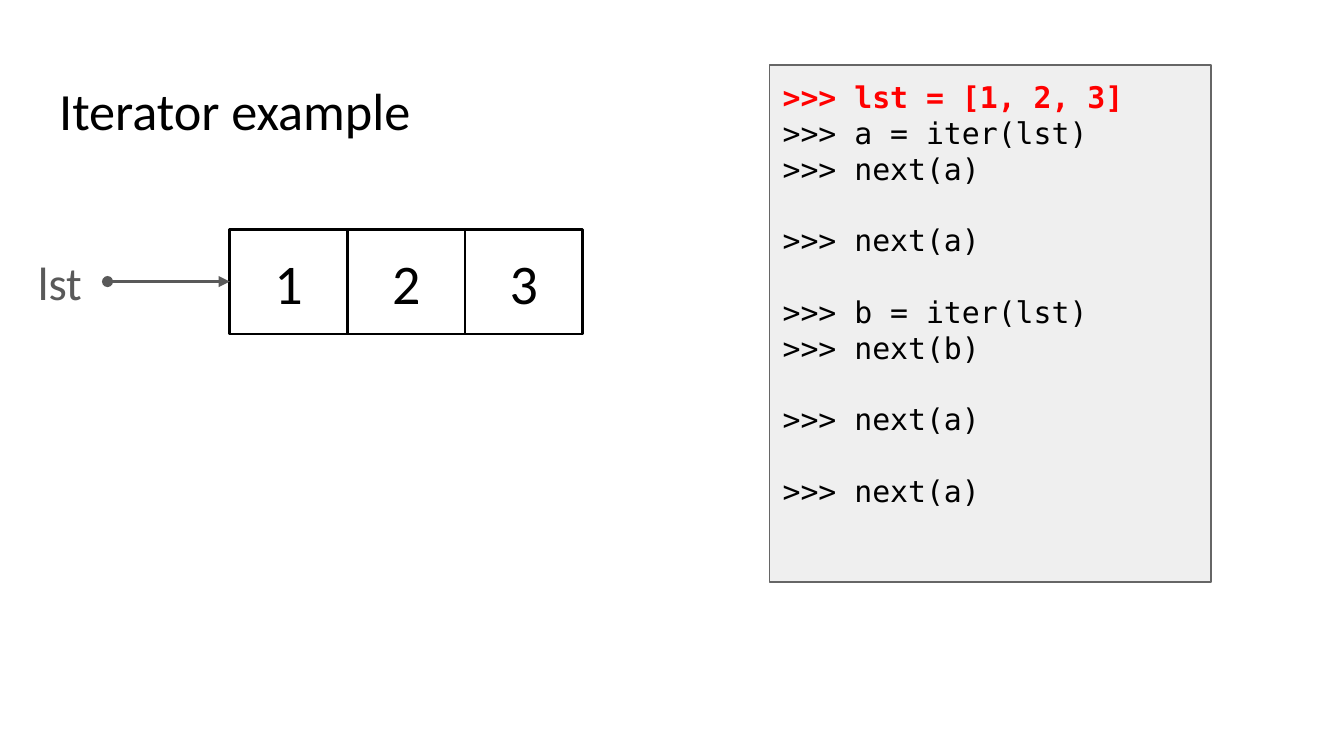
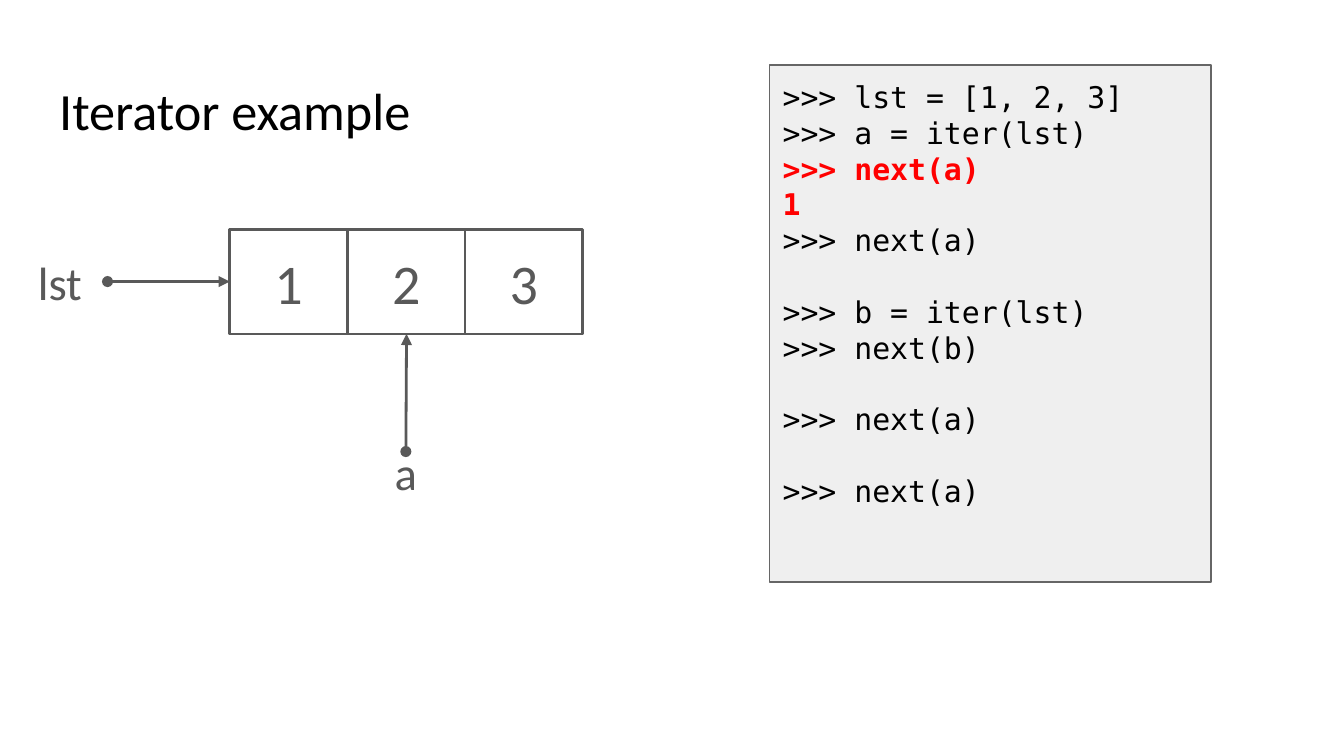
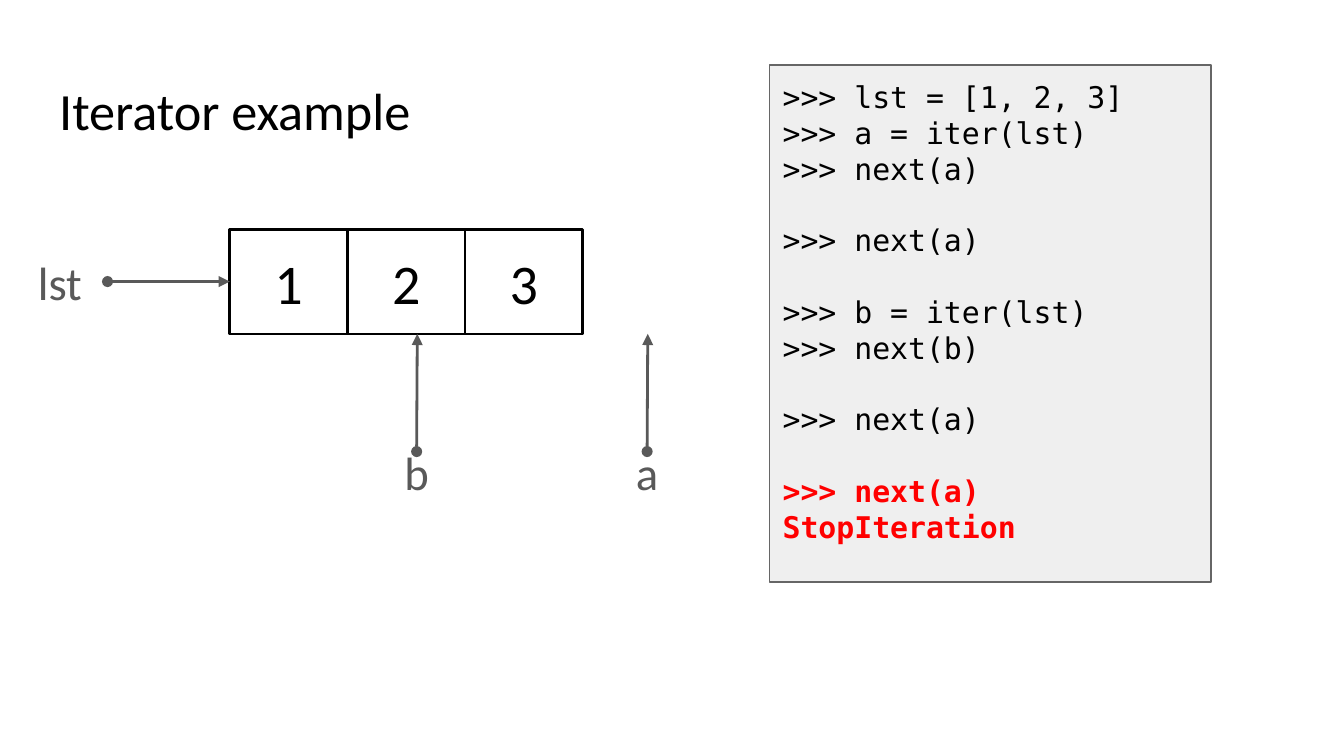
from dataclasses import dataclass

from lxml.etree import SubElement
from pptx import Presentation
from pptx.dml.color import RGBColor
from pptx.enum.shapes import MSO_CONNECTOR, MSO_SHAPE
from pptx.enum.text import MSO_ANCHOR, MSO_AUTO_SIZE, PP_ALIGN
from pptx.oxml.ns import qn
from pptx.util import Emu, Pt

# Shared look: 200 px to the inch
PX = 4572
BLACK, GRAY, RED = "000000", "595959", "FF0000"
PANEL_FILL, PANEL_LINE = "EFEFEF", "666666"
TEXT_FONT, CODE_FONT = "Calibri", "DejaVu Sans Mono"
CODE_LINE = Pt(19.2)
INSET = 20

# Diagram grid
LIST_LEFT, LIST_TOP, CELL_WIDTH, CELL_HEIGHT = 342, 342, 175, 155
LABEL_WIDTH = 142
POINTER_BOTTOM = 672

# Statements of the session, and whether each leaves a line for its output
STATEMENTS = (
    ("lst = [1, 2, 3]", False),
    ("a = iter(lst)", False),
    ("next(a)", True),
    ("next(a)", True),
    ("b = iter(lst)", False),
    ("next(b)", True),
    ("next(a)", True),
    ("next(a)", True),
)


@dataclass(frozen=True)
class Box:
    left: int
    top: int
    width: int
    height: int

    def emu(self) -> tuple:
        return tuple(Emu(n * PX) for n in (self.left, self.top, self.width, self.height))


@dataclass(frozen=True)
class Pointer:
    name: str
    center: int


@dataclass(frozen=True)
class Step:
    current: int
    output: str = ""
    list_color: str = BLACK
    pointers: tuple[Pointer, ...] = ()


STEPS = (
    Step(0),
    Step(2, "1", GRAY, (Pointer("a", 604),)),
    Step(7, "StopIteration", BLACK, (Pointer("b", 620), Pointer("a", 963))),
)


def color(value: str) -> RGBColor:
    return RGBColor.from_string(value)


def format_para(para, size: int, hue: str, name: str = TEXT_FONT, bold: bool = False) -> None:
    for span in para.runs:
        span.font.name = name
        span.font.size = Pt(size)
        span.font.bold = bold
        span.font.color.rgb = color(hue)


def set_frame(frame, anchor: MSO_ANCHOR) -> None:
    frame.word_wrap = True
    frame.auto_size = MSO_AUTO_SIZE.NONE
    frame.vertical_anchor = anchor
    frame.margin_left = frame.margin_right = Emu(INSET * PX)
    frame.margin_top = frame.margin_bottom = Emu(INSET * PX)


def set_centered_text(shape, text: str, size: int, hue: str) -> None:
    frame = shape.text_frame
    set_frame(frame, MSO_ANCHOR.MIDDLE)
    frame.text = text
    para = frame.paragraphs[0]
    para.alignment = PP_ALIGN.CENTER
    format_para(para, size, hue)


def add_rectangle(page, box: Box, line: str, weight: float, fill: str = ""):
    shape = page.shapes.add_shape(MSO_SHAPE.RECTANGLE, *box.emu())
    shape.shadow.inherit = False
    if fill:
        shape.fill.solid()
        shape.fill.fore_color.rgb = color(fill)
    else:
        shape.fill.background()
    shape.line.color.rgb = color(line)
    shape.line.width = Pt(weight)
    return shape


def add_label(page, box: Box, text: str) -> None:
    set_centered_text(page.shapes.add_textbox(*box.emu()), text, 25, GRAY)


def add_arrow(page, start: tuple[int, int], end: tuple[int, int]) -> None:
    points = (Emu(n * PX) for n in start + end)
    arrow = page.shapes.add_connector(MSO_CONNECTOR.STRAIGHT, *points)
    arrow.line.color.rgb = color(GRAY)
    arrow.line.width = Pt(1.5)
    properties = arrow.element.spPr
    outline = properties.find(qn("a:ln"))
    SubElement(outline, qn("a:headEnd"), type="oval")
    SubElement(outline, qn("a:tailEnd"), type="triangle")
    SubElement(properties, qn("a:effectLst"))


def add_title(page, text: str) -> None:
    title = page.shapes.title
    title.left, title.top, title.width, title.height = Box(68, 97, 1864, 125).emu()
    set_frame(title.text_frame, MSO_ANCHOR.TOP)
    title.text_frame.text = text
    para = title.text_frame.paragraphs[0]
    para.alignment = PP_ALIGN.LEFT
    format_para(para, 28, BLACK)


def add_session(page, step: Step) -> None:
    panel = add_rectangle(page, Box(1145, 97, 657, 769), PANEL_LINE, 0.75, PANEL_FILL)
    frame = panel.text_frame
    set_frame(frame, MSO_ANCHOR.TOP)

    # Each line with its highlight and whether an unused output line precedes it
    lines = []
    gap = False
    for index, (statement, has_output) in enumerate(STATEMENTS):
        current = index == step.current
        lines.append((f">>> {statement}", current, gap))
        gap = has_output
        if current and step.output:
            lines.append((step.output, True, False))
            gap = False

    frame.text = "\n".join(text for text, _, _ in lines)
    for para, (_, current, gap) in zip(frame.paragraphs, lines):
        para.alignment = PP_ALIGN.LEFT
        para.line_spacing = CODE_LINE
        if gap:
            para.space_before = CODE_LINE
        format_para(para, 16, RED if current else BLACK, CODE_FONT, current)


def add_list(page, hue: str) -> None:
    for index in range(3):
        left = LIST_LEFT + index * CELL_WIDTH
        cell = add_rectangle(page, Box(left, LIST_TOP, CELL_WIDTH, CELL_HEIGHT), hue, 1.5)
        set_centered_text(cell, str(index + 1), 30, hue)
    add_label(page, Box(18, 374, LABEL_WIDTH, 90), "lst")
    middle = LIST_TOP + CELL_HEIGHT // 2
    add_arrow(page, (160, middle), (LIST_LEFT, middle))


def add_pointer(page, pointer: Pointer) -> None:
    tip = (pointer.center + 1, LIST_TOP + CELL_HEIGHT)
    add_arrow(page, (pointer.center, POINTER_BOTTOM), tip)
    label = Box(pointer.center - LABEL_WIDTH // 2, 639, LABEL_WIDTH, 126)
    add_label(page, label, pointer.name)


def main() -> None:
    deck = Presentation()
    deck.slide_width = Emu(2000 * PX)
    deck.slide_height = Emu(1125 * PX)
    title_only = deck.slide_layouts[5]
    for step in STEPS:
        page = deck.slides.add_slide(title_only)
        add_title(page, "Iterator example")
        add_session(page, step)
        add_list(page, step.list_color)
        for pointer in step.pointers:
            add_pointer(page, pointer)
    deck.save("out.pptx")


if __name__ == "__main__":
    main()
